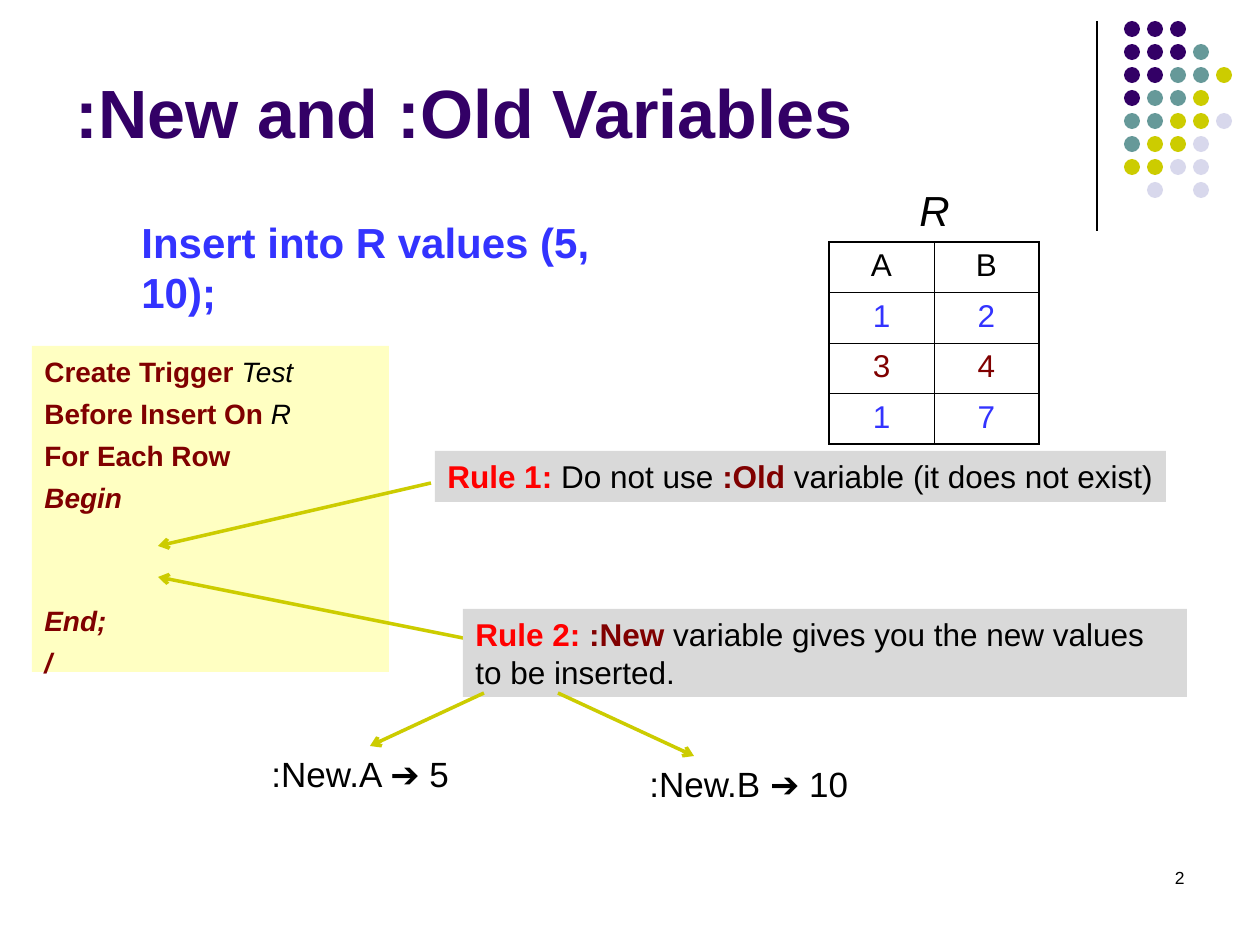
from lxml import etree
from pptx import Presentation
from pptx import util as u
from pptx.dml.color import RGBColor
from pptx.enum import shapes, text
from pptx.oxml import ns

PX = 914400 / 126
INK = {"black": "000000", "plum": "330066", "teal": "669999", "lime": "CCCC00",
       "mist": "D8D8EC", "blue": "3333FF", "maroon": "800000", "red": "FF0000",
       "cream": "FFFFC2", "gray": "D9D9D9"}
DOTS = ["PPP", "PPPT", "PPTTL", "PTTL", "TTLLM", "TLLM", "LLMM", " M M"]
DOT_INK = {"P": "plum", "T": "teal", "L": "lime", "M": "mist"}
LEFT, RIGHT, MID = text.PP_ALIGN.LEFT, text.PP_ALIGN.RIGHT, text.PP_ALIGN.CENTER


def px(*vals):
    return [u.Emu(round(v * PX)) for v in vals]


def rgb(name):
    return RGBColor.from_string(INK[name])


def add_runs(para, runs, size, align=LEFT):
    """Each run is (words, colour, style), where style may hold b and i."""
    para.alignment = align
    for words, ink, style in runs:
        run = para.add_run()
        run.text = words
        font = run.font
        font.name, font.size = "Arial", u.Pt(size)
        font.bold, font.italic = "b" in style, "i" in style
        font.color.rgb = rgb(ink)


def add_text(slide, box, runs, size, fill=None, wrap=False, align=LEFT, anchor=text.MSO_ANCHOR.TOP):
    shape = slide.shapes.add_textbox(*px(*box))
    if fill:
        shape.fill.solid()
        shape.fill.fore_color.rgb = rgb(fill)
    frame = shape.text_frame
    frame.word_wrap = wrap
    frame.vertical_anchor = anchor
    add_runs(frame.paragraphs[0], runs, size, align)
    return frame


def add_line(slide, ends, ink, width, arrow=False):
    line = slide.shapes.add_connector(shapes.MSO_CONNECTOR.STRAIGHT, *px(*ends))
    line.line.color.rgb = rgb(ink)
    line.line.width = u.Pt(width)
    if arrow:
        etree.SubElement(line.line._get_or_add_ln(), ns.qn("a:tailEnd"), type="arrow")
    etree.SubElement(line._element.spPr, ns.qn("a:effectLst"))


def add_dots(slide, left, top, size=16, step=23):
    for row, marks in enumerate(DOTS):
        for col, mark in enumerate(marks):
            if mark == " ":
                continue
            dot = slide.shapes.add_shape(
                shapes.MSO_SHAPE.OVAL, *px(left + col * step, top + row * step, size, size))
            dot.shadow.inherit = False
            dot.fill.solid()
            dot.fill.fore_color.rgb = rgb(DOT_INK[mark])
            dot.line.fill.background()


def add_border(cell, side, width):
    props = cell._tc.get_or_add_tcPr()
    edge = etree.SubElement(props, ns.qn("a:" + side), w=str(u.Pt(width)))
    fill = etree.SubElement(edge, ns.qn("a:solidFill"))
    etree.SubElement(fill, ns.qn("a:srgbClr"), val=INK["black"])


def add_grid(slide, left, top, width, height):
    rows = [("AB", "black"), ("12", "blue"), ("34", "maroon"), ("17", "blue")]
    last = len(rows) - 1
    table = slide.shapes.add_table(len(rows), 2, *px(left, top, width, height)).table
    table.first_row = table.horz_banding = False
    for r, (marks, ink) in enumerate(rows):
        for c, mark in enumerate(marks):
            cell = table.cell(r, c)
            add_runs(cell.text_frame.paragraphs[0], [(mark, ink, "")], 18, MID)
            outer = {"lnL": c == 0, "lnR": c == 1, "lnT": r == 0, "lnB": r == last}
            for side, thick in outer.items():
                add_border(cell, side, 1.08 if thick else 0.45)
            cell.fill.background()


def add_trigger(slide, box):
    lines = [
        [("Create Trigger ", "maroon", "b"), ("Test", "black", "i")],
        [("Before Insert On ", "maroon", "b"), ("R", "black", "i")],
        [("For Each Row", "maroon", "b")],
        [("Begin", "maroon", "bi")],
        [("End;", "maroon", "bi")],
        [("/", "maroon", "bi")],
    ]
    gap, body = 4.8, 46.4  # body leaves room for two lines of code
    frame = add_text(slide, box, lines[0], 16, "cream", True)
    frame.margin_top = px(9)[0]
    for runs in lines[1:]:
        para = frame.add_paragraph()
        para.space_before = u.Pt(gap + body if runs[0][0] == "End;" else gap)
        add_runs(para, runs, 16)


def add_rules(slide, left, top):
    def at(x, y, *size):
        return (left + x, top + y, *size)

    def arrow(x1, y1, x2, y2):
        add_line(slide, at(x1, y1) + at(x2, y2), "lime", 2, True)

    arrow(273, 32, 0, 95)
    add_text(slide, at(277, 0, 731, 51), [
        ("Rule 1: ", "red", "b"), ("Do not use ", "black", ""), (":Old ", "maroon", "b"),
        ("variable (it does not exist)", "black", "")], 18, "gray")
    arrow(315, 189, 0, 126)
    add_text(slide, at(305, 158, 724, 88), [
        ("Rule 2: ", "red", "b"), (":New", "maroon", "b"),
        (" variable gives you the new values to be inserted.", "black", "")], 18, "gray", True)
    add_text(slide, at(101, 295, 222, 55), [(":New.A ➔ 5", "black", "")], 20)
    add_text(slide, at(479, 305, 241, 55), [(":New.B ➔ 10", "black", "")], 20)
    arrow(326, 242, 212, 295)
    arrow(400, 242, 536, 305)


def main():
    deck = Presentation()
    deck.slide_width, deck.slide_height = px(1260, 945)
    slide = deck.slides.add_slide(deck.slide_layouts[6])
    add_line(slide, (1097, 21, 1097, 231), "black", 0.75)
    add_dots(slide, 1124, 21)
    add_text(slide, (63, 16, 1040, 142), [(":New and :Old Variables", "plum", "b")], 39,
             wrap=True, anchor=text.MSO_ANCHOR.BOTTOM)
    add_text(slide, (903, 861, 294, 63), [("2", "black", "")], 10, wrap=True, align=RIGHT)
    add_grid(slide, 829, 242, 210, 202)
    add_text(slide, (907, 178, 55, 63), [("R", "black", "i")], 24)
    add_text(slide, (129, 210, 559, 63), [("Insert into R values (5, 10);", "blue", "b")], 24)
    add_trigger(slide, (32, 346, 357, 326))
    add_rules(slide, 158, 451)
    deck.save("out.pptx")


if __name__ == "__main__":
    main()
